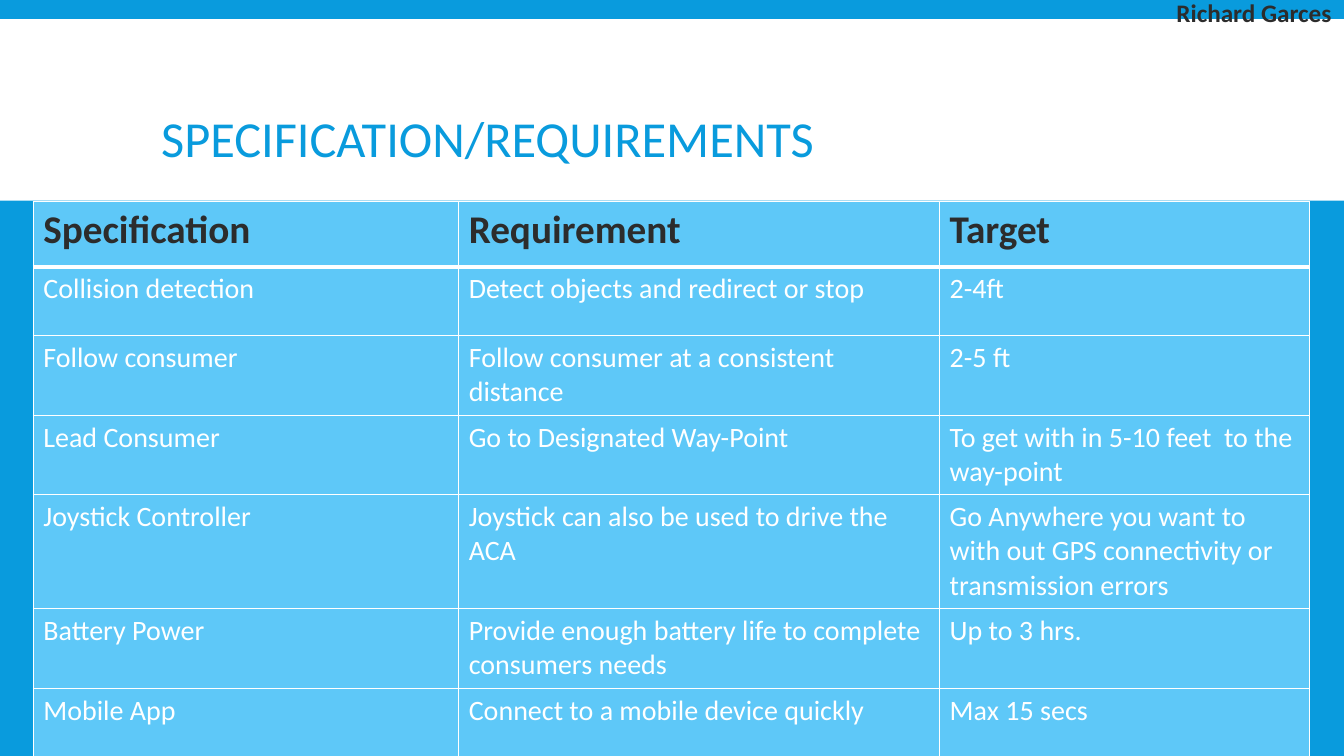
import pptx
import pptx.dml.color
import pptx.enum.shapes
import pptx.enum.text
import pptx.oxml
import pptx.oxml.ns
import pptx.util

RGBColor = pptx.dml.color.RGBColor
Inches = pptx.util.Inches
BLUE = RGBColor(0x09, 0x9B, 0xDD)
SKY = RGBColor(0x5E, 0xC8, 0xF8)
WHITE = RGBColor(0xFF, 0xFF, 0xFF)
DARK = RGBColor(0x2C, 0x2C, 0x2C)
FONT = "Calibri"

WIDTH, HEIGHT = 13.33, 7.5
BAND_TOP, BAND_HEIGHT = 0.19, 1.8
TABLE_LEFT, TABLE_TOP = 0.33, 2
COLUMN_WIDTHS = (4.22, 4.77, 3.67)
HEADER_HEIGHT = 0.65
HEIGHT_BY_LINES = {1: 0.68, 2: 0.79, 3: 1.13}

TITLE = "SPECIFICATION/REQUIREMENTS"
PRESENTER = "Richard Garces"
HEADER = ("Specification", "Requirement", "Target")
BODY = [
    (1, ("Collision detection", "Detect objects and redirect or stop", "2-4ft")),
    (2, ("Follow consumer", "Follow consumer at a consistent distance", "2-5 ft")),
    (2, ("Lead Consumer", "Go to Designated Way-Point",
         "To get with in 5-10 feet  to the way-point")),
    (3, ("Joystick Controller", "Joystick can also be used to drive the ACA",
         "Go Anywhere you want to with out GPS connectivity or transmission errors")),
    (2, ("Battery Power", "Provide enough battery life to complete consumers needs",
         "Up to 3 hrs.")),
    (1, ("Mobile App", "Connect to a mobile device quickly", "Max 15 secs")),
]


def style(para, size, color, bold=False):
    para.font.name = FONT
    para.font.size = pptx.util.Pt(size)
    para.font.color.rgb = color
    para.font.bold = bold


def add_text(page, frame, text, size, color, bold=False, wrap=True):
    box = page.shapes.add_textbox(*map(Inches, frame))
    box.text_frame.word_wrap = wrap
    para = box.text_frame.paragraphs[0]
    para.text = text
    style(para, size, color, bold)
    return box


def set_borders(cell, top, bottom):
    properties = cell._tc.get_or_add_tcPr()
    sides = {"L": 1, "R": 1, "T": top, "B": bottom}
    for index, (side, points) in enumerate(sides.items()):
        line = pptx.oxml.parse_xml(
            f'<a:ln{side} {pptx.oxml.ns.nsdecls("a")} w="{pptx.util.Pt(points)}">'
            f'<a:solidFill><a:srgbClr val="{WHITE}"/></a:solidFill></a:ln{side}>')
        properties.insert(index, line)


def add_requirements(page):
    rows = [HEADER] + [texts for _, texts in BODY]
    heights = [HEADER_HEIGHT] + [HEIGHT_BY_LINES[lines] for lines, _ in BODY]
    frame = (TABLE_LEFT, TABLE_TOP, sum(COLUMN_WIDTHS), sum(heights))
    table = page.shapes.add_table(len(rows), len(HEADER), *map(Inches, frame)).table
    table.horz_banding = False
    for column, width in zip(table.columns, COLUMN_WIDTHS):
        column.width = Inches(width)
    for number, (texts, height) in enumerate(zip(rows, heights)):
        table.rows[number].height = Inches(height)
        heading = number == 0
        for cell, text in zip(table.rows[number].cells, texts):
            cell.text = text
            style(cell.text_frame.paragraphs[0], 28 if heading else 20,
                  DARK if heading else WHITE, heading)
            cell.fill.solid()
            cell.fill.fore_color.rgb = SKY
            set_borders(cell, 3 if number == 1 else 1, 3 if heading else 1)


def main():
    """Build the specification and requirements slide."""
    deck = pptx.Presentation()
    deck.slide_width, deck.slide_height = Inches(WIDTH), Inches(HEIGHT)
    page = deck.slides.add_slide(deck.slide_layouts[6])
    page.background.fill.solid()
    page.background.fill.fore_color.rgb = BLUE

    band = page.shapes.add_shape(
        pptx.enum.shapes.MSO_SHAPE.RECTANGLE,
        *map(Inches, (0, BAND_TOP, WIDTH, BAND_HEIGHT)))
    band.shadow.inherit = False
    band.fill.solid()
    band.fill.fore_color.rgb = WHITE
    band.line.fill.background()

    title = add_text(page, (1.5, 1.07, 10, 0.67), TITLE, 36, BLUE)
    title.text_frame.vertical_anchor = pptx.enum.text.MSO_ANCHOR.MIDDLE
    title.text_frame.paragraphs[0].line_spacing = 0.85
    add_requirements(page)
    add_text(page, (11.57, -0.08, 1.86, 0.4), PRESENTER, 18, DARK, True, False)
    deck.save("out.pptx")


if __name__ == "__main__":
    main()
